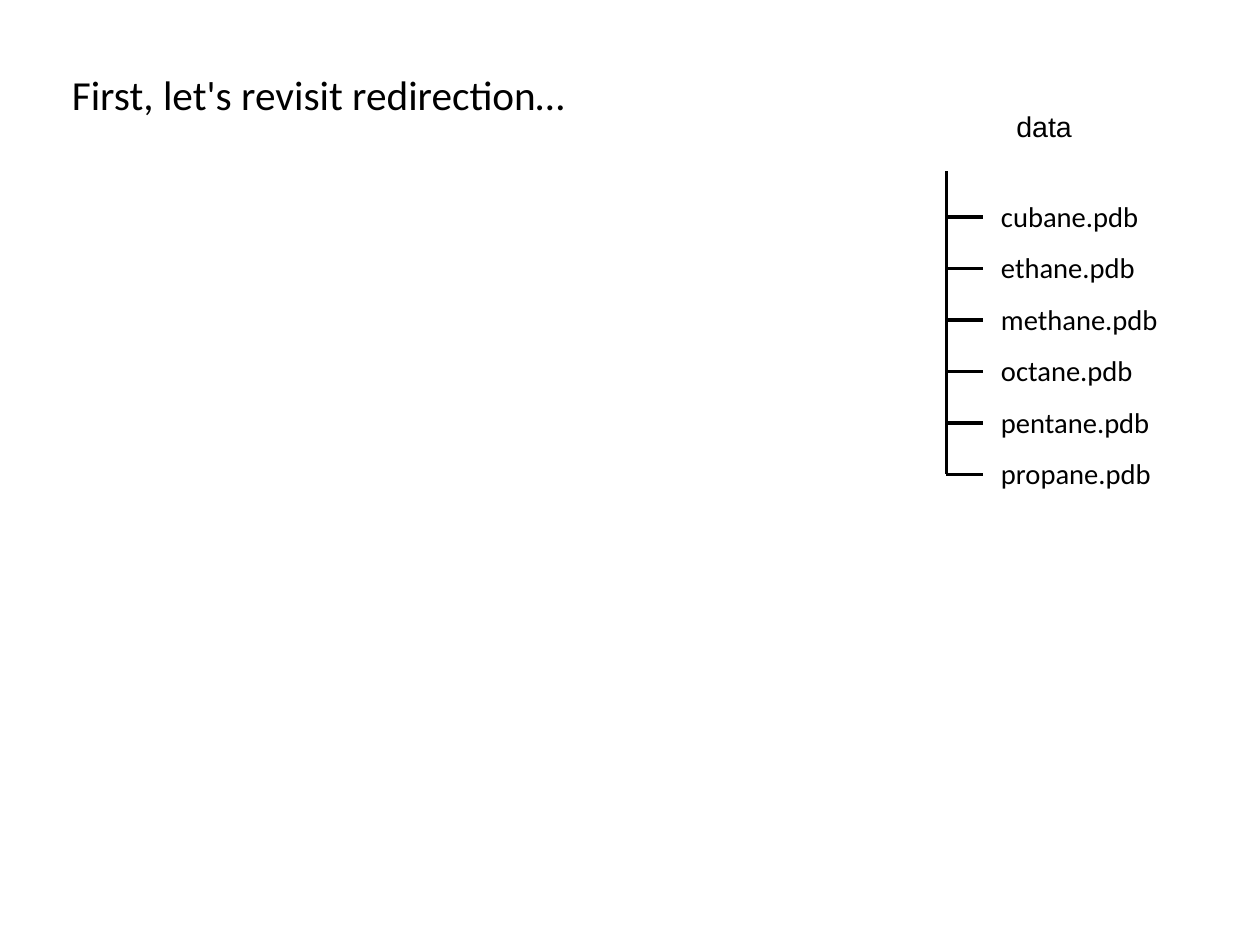
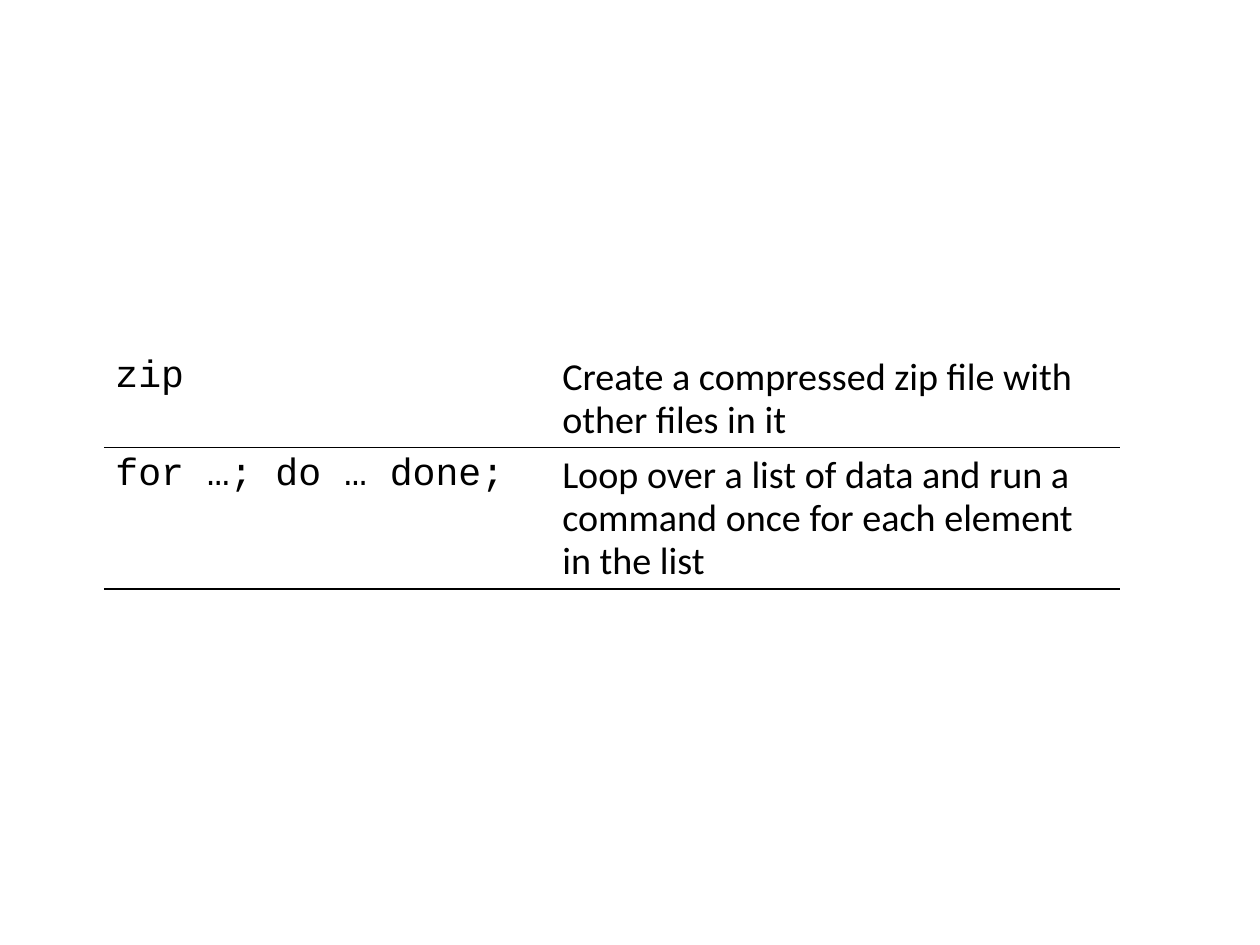
from lxml.etree import SubElement
from pptx import Presentation
from pptx.dml.color import RGBColor
from pptx.enum.shapes import MSO_CONNECTOR
from pptx.enum.text import MSO_ANCHOR, PP_ALIGN
from pptx.oxml.ns import qn
from pptx.util import Inches, Pt

# Content
TITLE = "First, let's revisit redirection…"
FOLDER = "data"
FILES = ["cubane.pdb", "ethane.pdb", "methane.pdb",
         "octane.pdb", "pentane.pdb", "propane.pdb"]
COMMANDS = [
    ("zip", "Create a compressed zip file with other files in it"),
    ("for …; do … done;",
     "Loop over a list of data and run a command once for each element in the list"),
]

# Shared style
COLORS = {"ink": "000000", "paper": "FFFFFF"}
BODY, LABEL, CODE = "Calibri", "Arial", "Courier New"

# Page size in points, layout in inches
PAGE_WIDTH, PAGE_HEIGHT = 793.75, 595.25
TRUNK_X, TRUNK_TOP, BRANCH_END = 8.28, 1.5, 8.6
FIRST_BRANCH, BRANCH_STEP = 1.9, 0.45
COLUMN_WIDTHS = [3.91, 4.98]
ROW_HEIGHTS = [0.84, 1.22]


def color(name):
    return RGBColor.from_string(COLORS[name])


def add_run(paragraph, text, size, font):
    run = paragraph.add_run()
    run.text = text
    run.font.size = Pt(size)
    run.font.name = font
    run.font.color.rgb = color("ink")


def add_text(slide, box, lines, size, font, wrap=False, spacing=1.0,
             align=PP_ALIGN.LEFT):
    shape = slide.shapes.add_textbox(*map(Inches, box))
    frame = shape.text_frame
    frame.word_wrap = wrap
    for index, line in enumerate(lines):
        paragraph = frame.add_paragraph() if index else frame.paragraphs[0]
        paragraph.line_spacing = spacing
        paragraph.alignment = align
        add_run(paragraph, line, size, font)


def add_line(slide, x1, y1, x2, y2):
    line = slide.shapes.add_connector(
        MSO_CONNECTOR.STRAIGHT, *map(Inches, (x1, y1, x2, y2)))
    line.line.color.rgb = color("ink")
    line.line.width = Pt(2.25)
    SubElement(line._element.spPr, qn("a:effectLst"))


def set_borders(cell, ruled_sides):
    properties = cell._tc.get_or_add_tcPr()
    for side in "LRTB":
        border = SubElement(properties, qn(f"a:ln{side}"), w=str(Pt(1)))
        if side in ruled_sides:
            fill = SubElement(border, qn("a:solidFill"))
            SubElement(fill, qn("a:srgbClr"), val=COLORS["ink"])
        else:
            SubElement(border, qn("a:noFill"))


def add_slide(presentation):
    slide = presentation.slides.add_slide(presentation.slide_layouts[6])
    slide.background.fill.solid()
    slide.background.fill.fore_color.rgb = color("paper")
    return slide


def build_tree_slide(presentation):
    slide = add_slide(presentation)
    add_text(slide, (0.53, 0.56, 7.12, 0.54), [TITLE], 26, BODY, wrap=True)

    # File tree: names, trunk, one branch per file
    add_text(slide, (8.66, 1.54, 1.59, 2.83), FILES, 18, BODY, spacing=1.5)
    branches = [FIRST_BRANCH + index * BRANCH_STEP for index in range(len(FILES))]
    add_line(slide, TRUNK_X, TRUNK_TOP, TRUNK_X, branches[-1])
    for y in branches:
        add_line(slide, TRUNK_X, y, BRANCH_END, y)
    add_text(slide, (8.79, 0.93, 0.69, 0.38), [FOLDER], 18, LABEL,
             spacing=0.93, align=PP_ALIGN.CENTER)


def build_command_slide(presentation):
    slide = add_slide(presentation)
    table = slide.shapes.add_table(
        len(COMMANDS), len(COLUMN_WIDTHS), Inches(0.91), Inches(3.06),
        Inches(sum(COLUMN_WIDTHS)), Inches(sum(ROW_HEIGHTS))).table
    table.first_row = table.horz_banding = False
    for column, width in zip(table.columns, COLUMN_WIDTHS):
        column.width = Inches(width)
    styles = [(CODE, MSO_ANCHOR.TOP), (BODY, MSO_ANCHOR.MIDDLE)]
    for row_index, texts in enumerate(COMMANDS):
        table.rows[row_index].height = Inches(ROW_HEIGHTS[row_index])
        for column_index, (text, (font, anchor)) in enumerate(zip(texts, styles)):
            cell = table.cell(row_index, column_index)
            set_borders(cell, "TB" if row_index else "B")
            cell.fill.background()
            cell.vertical_anchor = anchor
            paragraph = cell.text_frame.paragraphs[0]
            paragraph.line_spacing = 0.93
            paragraph.space_after = Pt(14.2)
            add_run(paragraph, text, 24, font)


def main():
    presentation = Presentation()
    presentation.slide_width = Pt(PAGE_WIDTH)
    presentation.slide_height = Pt(PAGE_HEIGHT)
    build_tree_slide(presentation)
    build_command_slide(presentation)
    presentation.save("out.pptx")


if __name__ == "__main__":
    main()
